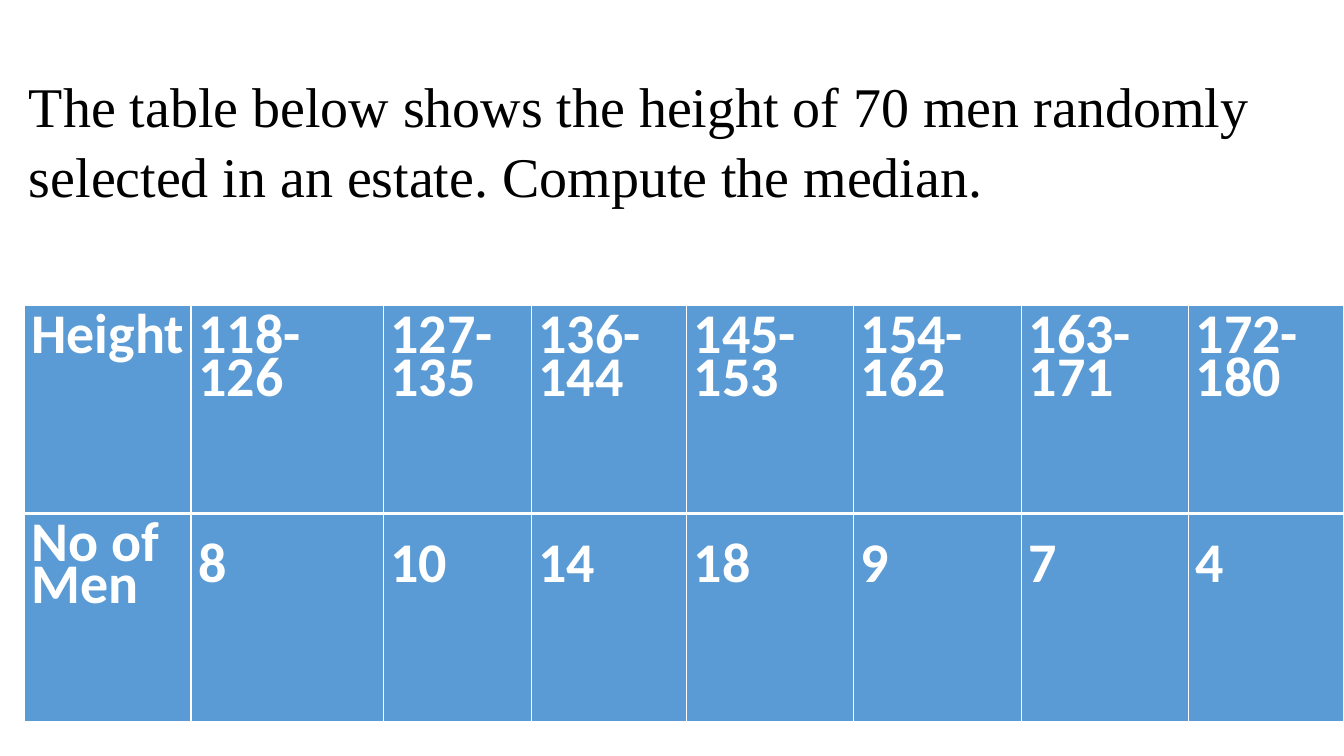
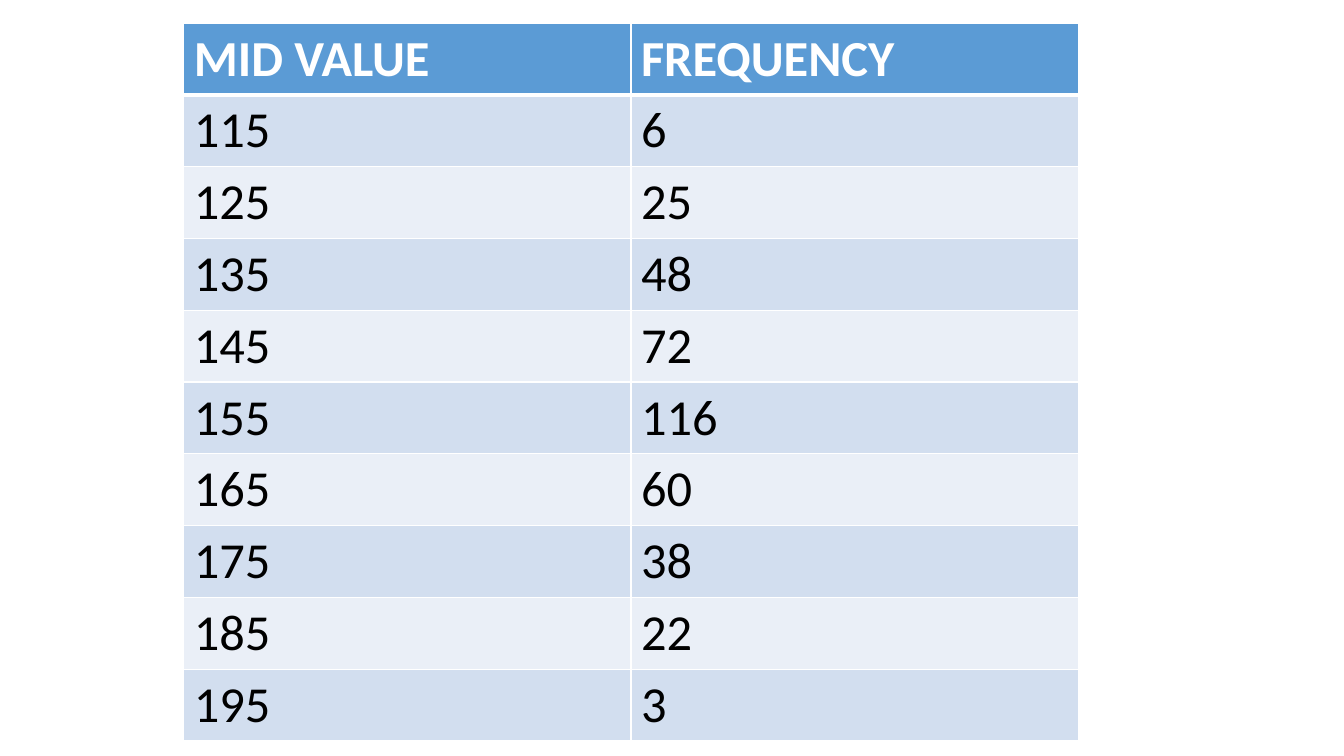
from dataclasses import dataclass

from lxml.etree import SubElement
from pptx import Presentation
from pptx.dml.color import RGBColor
from pptx.enum.text import MSO_ANCHOR, MSO_AUTO_SIZE, PP_ALIGN
from pptx.oxml.ns import qn
from pptx.util import Emu, Pt

EMU_PER_PX = 9525
TITLE_ONLY, BLANK = 5, 6


@dataclass(frozen=True)
class Theme:
    header_fill: str = "5B9BD5"
    bands: tuple = ("D2DEEF", "EAEFF7")
    white: str = "FFFFFF"
    ink: str = "000000"
    title_font: str = "Times New Roman"
    table_font: str = "Calibri"
    large: int = 40
    medium: int = 36
    tight_line: float = 30.2
    thin: int = 1
    thick: int = 3


THEME = Theme()

HEIGHT_COLUMNS = [
    # width, class limits, number of men
    (159, ["Height"], ["No of", "Men"]),
    (183, ["118-", "126"], ["8"]),
    (141, ["127-", "135"], ["10"]),
    (148, ["136-", "144"], ["14"]),
    (159, ["145-", "153"], ["18"]),
    (160, ["154-", "162"], ["9"]),
    (159, ["163-", "171"], ["7"]),
    (148, ["172-", "180"], ["4"]),
]
FREQUENCIES = [6, 25, 48, 72, 116, 60, 38, 22, 3]
FIRST_MID_VALUE, CLASS_WIDTH = 115, 10


def px(length):
    return Emu(length * EMU_PER_PX)


def add_run(paragraph, text, font, size, color, bold=False):
    run = paragraph.add_run()
    run.text = text
    run.font.name = font
    run.font.size = Pt(size)
    run.font.bold = bold
    run.font.color.rgb = RGBColor.from_string(color)


def set_borders(cell, row):
    """Thin white lines, with a thick one between the first two rows."""
    top = THEME.thick if row == 1 else THEME.thin
    bottom = THEME.thick if row == 0 else THEME.thin
    edges = {"L": THEME.thin, "R": THEME.thin, "T": top, "B": bottom}
    properties = cell._tc.get_or_add_tcPr()
    for side, width in edges.items():
        line = SubElement(properties, qn(f"a:ln{side}"), w=str(Pt(width)))
        fill = SubElement(line, qn("a:solidFill"))
        SubElement(fill, qn("a:srgbClr"), val=THEME.white)


def add_grid(slide, left, top, widths, row_height, row_count):
    table = slide.shapes.add_table(
        row_count, len(widths), px(left), px(top),
        px(sum(widths)), px(row_height * row_count)).table
    table.horz_banding = False
    for column, width in zip(table.columns, widths):
        column.width = px(width)
    for row in table.rows:
        row.height = px(row_height)
    return table


def write_cell(table, row, column, lines, fill, color, size, bold, spacing=None):
    cell = table.cell(row, column)
    set_borders(cell, row)
    cell.fill.solid()
    cell.fill.fore_color.rgb = RGBColor.from_string(fill)
    frame = cell.text_frame
    for index, line in enumerate(lines):
        paragraph = frame.add_paragraph() if index else frame.paragraphs[0]
        if spacing:
            paragraph.line_spacing = Pt(spacing)
        add_run(paragraph, line, THEME.table_font, size, color, bold)
    return cell


def place_question(slide, left, top, width, height, text):
    title = slide.shapes.title
    title.left, title.top = px(left), px(top)
    title.width, title.height = px(width), px(height)
    frame = title.text_frame
    frame.word_wrap = True
    frame.auto_size = MSO_AUTO_SIZE.NONE
    frame.vertical_anchor = MSO_ANCHOR.TOP
    paragraph = frame.paragraphs[0]
    paragraph.alignment = PP_ALIGN.LEFT
    paragraph.line_spacing = 1.05
    add_run(paragraph, text, THEME.title_font, THEME.large, THEME.ink)


def place_height_table(slide, left, top, row_height):
    widths = [width for width, *_ in HEIGHT_COLUMNS]
    table = add_grid(slide, left, top, widths, row_height, 2)
    table.first_row = False
    for column, (_, *entries) in enumerate(HEIGHT_COLUMNS):
        for row, lines in enumerate(entries):
            cell = write_cell(table, row, column, lines, THEME.header_fill,
                              THEME.white, THEME.large, True, THEME.tight_line)
            is_count = row == 1 and column > 0
            cell.margin_left = px(7)
            cell.margin_top = px(40 if is_count else 20)
            cell.margin_right = cell.margin_bottom = 0


def place_frequency_table(slide, left, top, column_width, row_height):
    rows = [("MID VALUE", "FREQUENCY")]
    rows += [(str(FIRST_MID_VALUE + CLASS_WIDTH * step), str(frequency))
             for step, frequency in enumerate(FREQUENCIES)]
    table = add_grid(slide, left, top, [column_width] * 2, row_height, len(rows))
    for row, values in enumerate(rows):
        header = row == 0
        fill = THEME.header_fill if header else THEME.bands[(row - 1) % 2]
        color = THEME.white if header else THEME.ink
        for column, value in enumerate(values):
            write_cell(table, row, column, [value], fill, color,
                       THEME.medium, header)


def build_question_slide(deck):
    slide = deck.slides.add_slide(deck.slide_layouts[TITLE_ONLY])
    place_question(slide, 18, 60, 1244, 220,
                   "The table below shows the height of 70 men randomly "
                   "selected in an estate. Compute the median.")
    place_height_table(slide, 23, 291, 198)


def build_frequency_slide(deck):
    slide = deck.slides.add_slide(deck.slide_layouts[BLANK])
    place_frequency_table(slide, 175, 22, 426, 68)


def main():
    deck = Presentation()
    deck.slide_width, deck.slide_height = px(1280), px(720)
    build_question_slide(deck)
    build_frequency_slide(deck)
    deck.save("out.pptx")


if __name__ == "__main__":
    main()
